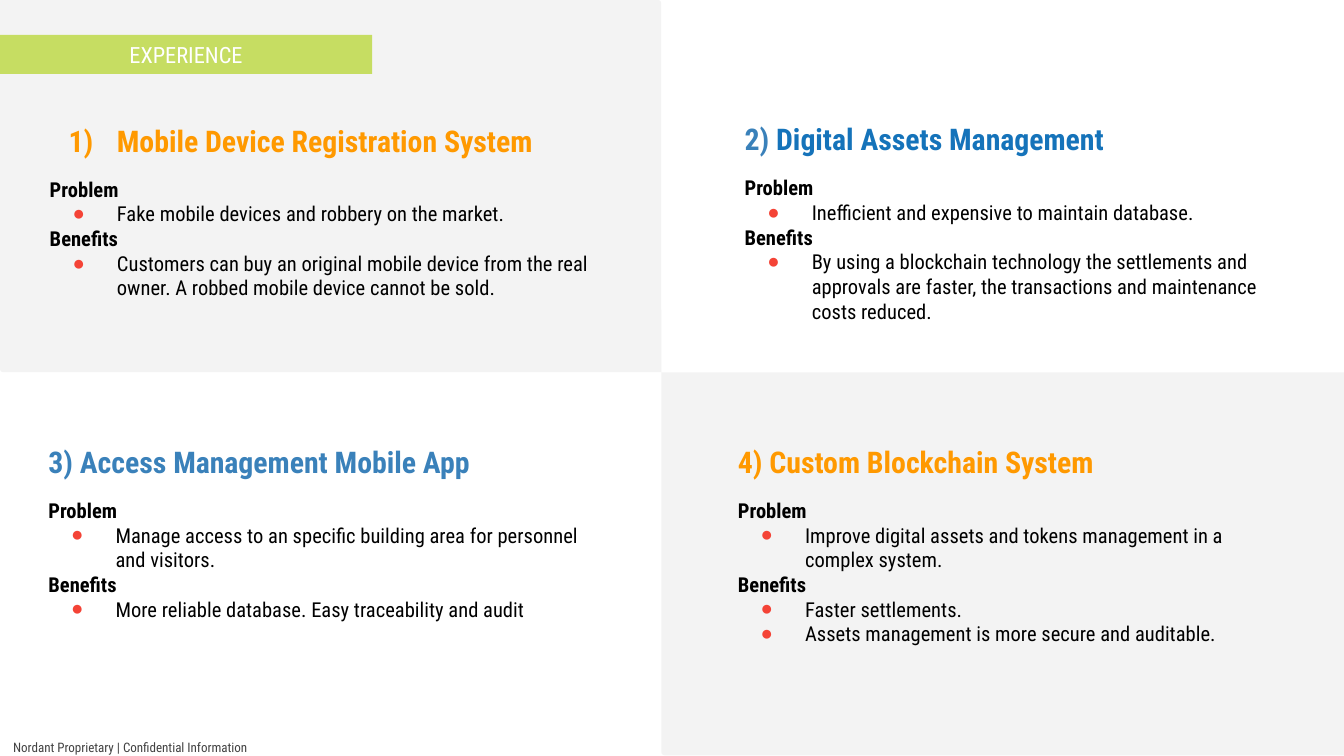
import dataclasses

import lxml.etree
import pptx
import pptx.dml.color
import pptx.enum.shapes
import pptx.enum.text
import pptx.oxml.ns
import pptx.util

Inches = pptx.util.Inches
COMPARISON_LAYOUT = 4


@dataclasses.dataclass(frozen=True)
class Theme:
    font: str = "Roboto Condensed"
    panel: str = "F3F3F3"
    banner: str = "C6DD62"
    banner_text: str = "FFFFFF"
    orange: str = "FF9900"
    blue: str = "3A81BA"
    deep_blue: str = "1573BA"
    body: str = "000000"
    bullet: str = "F44336"
    footer: str = "434343"
    heading_size: int = 16
    banner_size: int = 12
    body_size: int = 11
    footer_size: int = 7


def rgb(color):
    return pptx.dml.color.RGBColor.from_string(color)


class SlideBuilder:
    def __init__(self, slide, theme):
        self.slide = slide
        self.theme = theme

    def place(self, shape, left, top, width, height):
        shape.left, shape.top = Inches(left), Inches(top)
        shape.width, shape.height = Inches(width), Inches(height)

    def set_frame(self, frame, anchor=pptx.enum.text.MSO_ANCHOR.TOP):
        frame.word_wrap = True
        frame.auto_size = pptx.enum.text.MSO_AUTO_SIZE.NONE
        frame.vertical_anchor = anchor
        frame.margin_left = frame.margin_right = Inches(0.1)
        frame.margin_top = frame.margin_bottom = Inches(0.1)

    def set_font(self, font, size, color, bold=False):
        font.name = self.theme.font
        font.size = pptx.util.Pt(size)
        font.bold = bold
        font.color.rgb = rgb(color)

    def set_marker(self, para, tag="buNone", color=None, indent=0, font=None, **attributes):
        """Set the bullet or number; buNone also clears the inherited indent."""
        properties = para._p.get_or_add_pPr()
        properties.set("marL", str(Inches(0.5) if color else 0))
        properties.set("indent", str(Inches(indent)))

        def add(parent, name, **values):
            return lxml.etree.SubElement(parent, pptx.oxml.ns.qn("a:" + name), **values)

        if color:
            add(add(properties, "buClr"), "srgbClr", val=color)
        if font:
            add(properties, "buFont", typeface=font)
        add(properties, tag, **attributes)

    def panel(self, left, top, width, height):
        shape = self.slide.shapes.add_shape(
            pptx.enum.shapes.MSO_SHAPE.ROUND_2_DIAG_RECTANGLE,
            Inches(left), Inches(top), Inches(width), Inches(height))
        shape.adjustments[0], shape.adjustments[1] = 0, 0.009
        shape.shadow.inherit = False
        shape.fill.solid()
        shape.fill.fore_color.rgb = rgb(self.theme.panel)
        shape.line.fill.background()
        # Panels go behind the placeholders.
        self.slide.shapes._spTree.insert(2, shape._element)

    def banner(self, text, left, top, width, height):
        title = self.slide.shapes.title
        self.place(title, left, top, width, height)
        title.fill.solid()
        title.fill.fore_color.rgb = rgb(self.theme.banner)
        self.set_frame(title.text_frame, pptx.enum.text.MSO_ANCHOR.MIDDLE)
        para = title.text_frame.paragraphs[0]
        para.text = text
        para.alignment = pptx.enum.text.PP_ALIGN.CENTER
        self.set_font(para.font, self.theme.banner_size, self.theme.banner_text)

    def heading(self, para, spans, numbered):
        if numbered:
            self.set_marker(para, "buAutoNum", spans[0][1], -0.36, self.theme.font,
                            type="arabicParenR")
        else:
            self.set_marker(para)
        para.line_spacing = 1.15
        para.space_before = pptx.util.Pt(0)
        para.space_after = pptx.util.Pt(10)
        self.set_font(para.font, self.theme.heading_size, spans[0][1], bold=True)
        for text, color in spans:
            span = para.add_run()
            span.text = text
            if color != spans[0][1]:
                span.font.color.rgb = rgb(color)

    def body_line(self, frame, text, bulleted):
        para = frame.add_paragraph()
        para.text = text
        if bulleted:
            self.set_marker(para, "buChar", self.theme.bullet, -0.33, char="●")
        else:
            self.set_marker(para)
        para.line_spacing = 1.0
        para.space_before = para.space_after = pptx.util.Pt(0)
        self.set_font(para.font, self.theme.body_size, self.theme.body, not bulleted)

    def project(self, index, left, top, spans, problem, benefits, numbered=False):
        box = self.slide.placeholders[index]
        self.place(box, left, top, 4.24, 1.79)
        frame = box.text_frame
        self.set_frame(frame)
        self.heading(frame.paragraphs[0], spans, numbered)
        for label, items in (("Problem", [problem]), ("Benefits", benefits)):
            self.body_line(frame, label, bulleted=False)
            for item in items:
                self.body_line(frame, item, bulleted=True)

    def footer(self, text, left, top, width, height):
        box = self.slide.shapes.add_textbox(
            Inches(left), Inches(top), Inches(width), Inches(height))
        self.set_frame(box.text_frame)
        para = box.text_frame.paragraphs[0]
        para.text = text
        self.set_font(para.font, self.theme.footer_size, self.theme.footer)


def main():
    deck = pptx.Presentation()
    deck.slide_width = Inches(10)
    deck.slide_height = deck.slide_width * 9 // 16
    theme = Theme()
    page = SlideBuilder(
        deck.slides.add_slide(deck.slide_layouts[COMPARISON_LAYOUT]), theme)

    split_x, split_y = 4.92, 2.77
    page.panel(0, 0, split_x, split_y)
    page.panel(split_x, split_y, 5.18, 2.85)
    page.banner("EXPERIENCE", 0, 0.26, 2.77, 0.29)

    page.project(
        1, 0.27, 0.77, [("Mobile Device Registration System", theme.orange)],
        "Fake mobile devices and robbery on the market.",
        ["Customers can buy an original mobile device from the real owner. "
         "A robbed mobile device cannot be sold."],
        numbered=True)
    page.project(
        2, 5.44, 0.76,
        [("2) ", theme.blue), ("Digital Assets Management", theme.deep_blue)],
        "Inefficient and expensive to maintain database.",
        ["By using a blockchain technology the settlements and approvals are "
         "faster, the transactions and maintenance costs reduced."])
    page.project(
        3, 0.26, 3.16, [("3) Access Management Mobile App", theme.blue)],
        "Manage access to an specific building area for personnel and visitors.",
        ["More reliable database. Easy traceability and audit"])
    page.project(
        4, 5.39, 3.16, [("4) Custom Blockchain System", theme.orange)],
        "Improve digital assets and tokens management in a complex system.",
        ["Faster settlements.", "Assets management is more secure and auditable."])

    page.footer("Nordant Proprietary | Confidential Information", 0, 5.4, 3.34, 0.21)
    deck.save("out.pptx")


if __name__ == "__main__":
    main()
